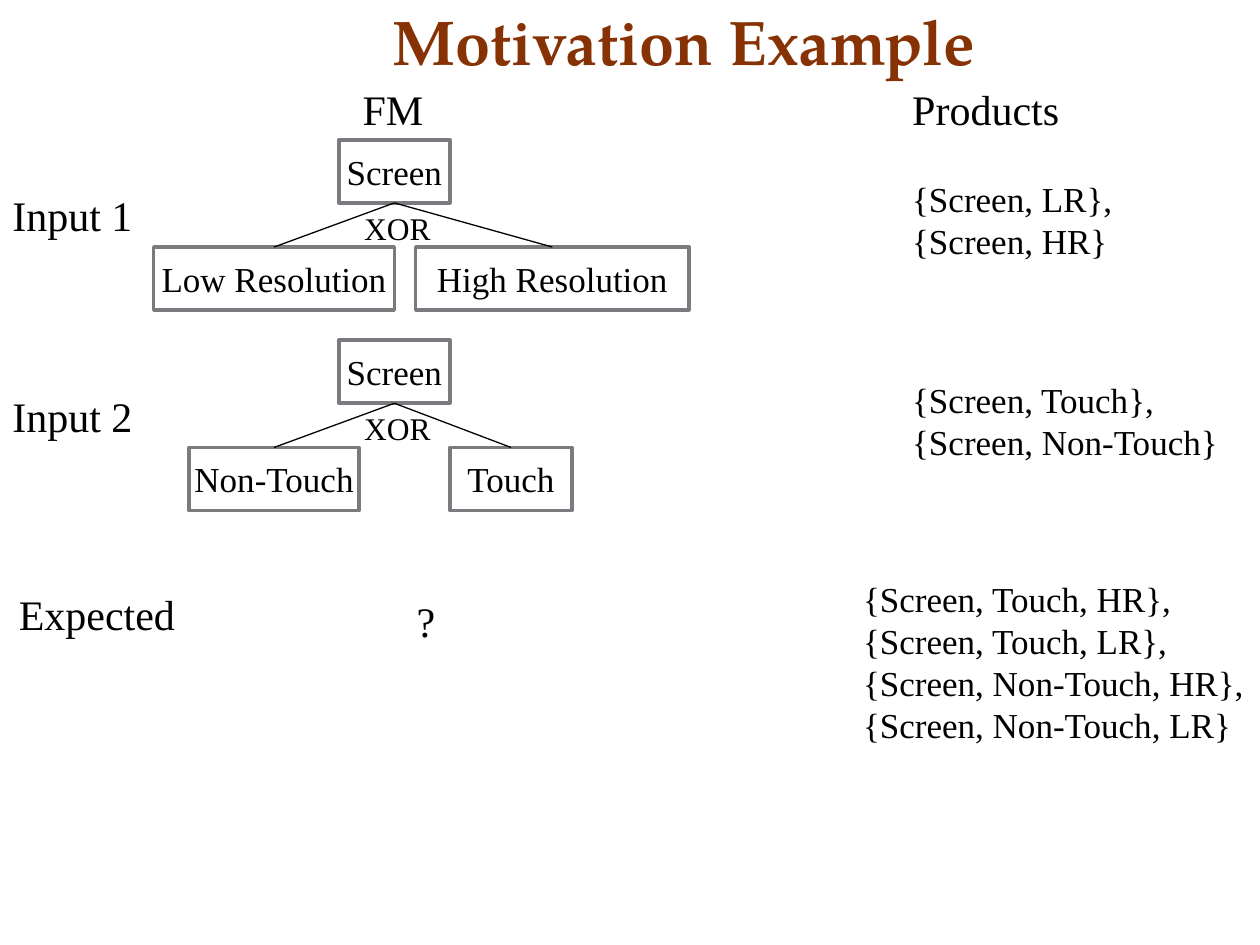
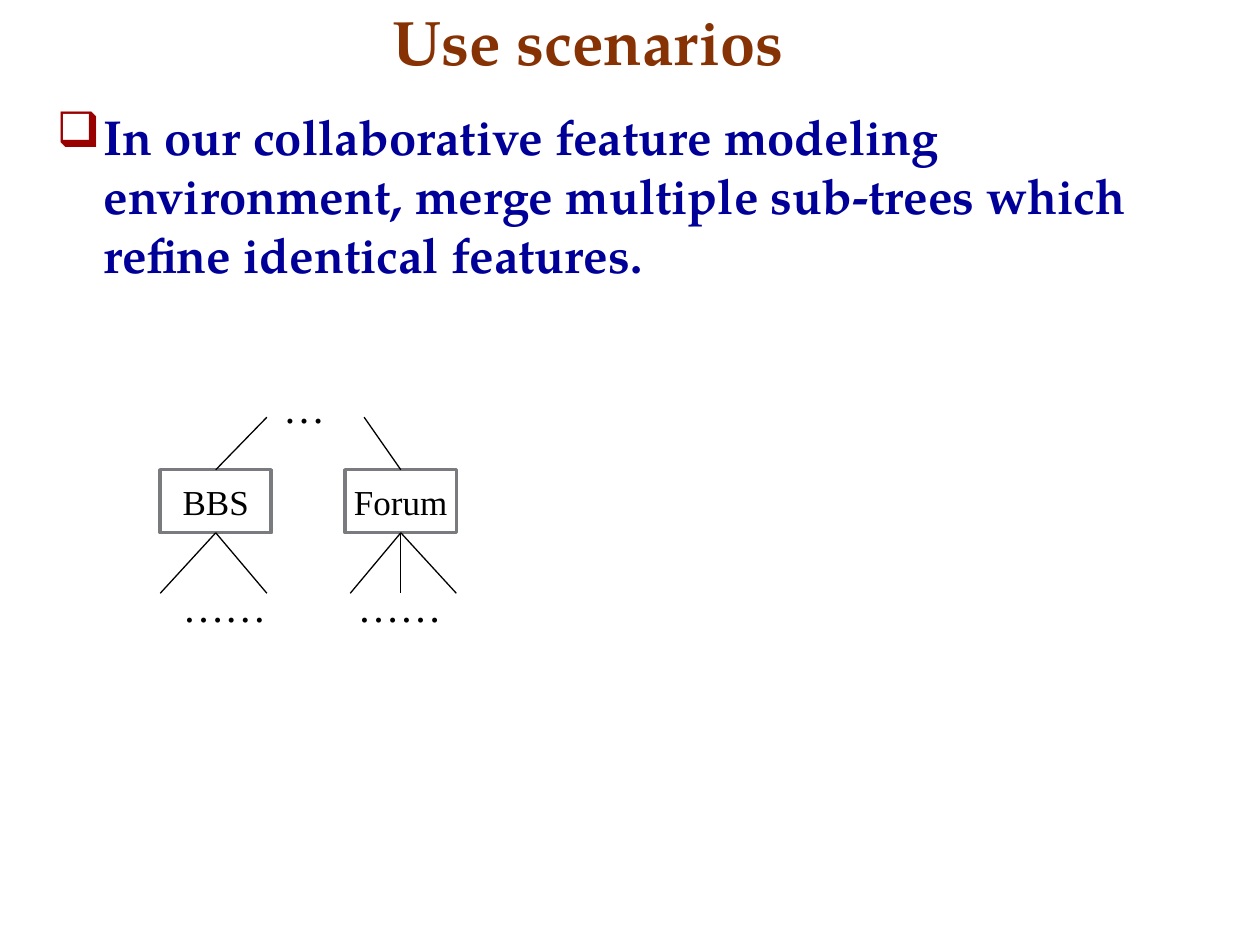
from lxml.etree import SubElement
from pptx import Presentation
from pptx.dml.color import RGBColor
from pptx.enum.shapes import MSO_CONNECTOR, MSO_SHAPE
from pptx.enum.text import MSO_ANCHOR, MSO_AUTO_SIZE, PP_ALIGN
from pptx.oxml.ns import qn
from pptx.util import Cm, Pt

SERIF, DISPLAY = "Times New Roman", "TeX Gyre Pagella"
BLACK, WHITE, GREY = "000000", "FFFFFF", "797B7E"
BROWN, NAVY, RED = "863204", "000099", "990000"

# All lengths are in centimetres.
BOX_H, LABEL_H = 1.27, 1.27
SCREEN_X, SCREEN_W = 6.83, 2.24
FIRST_Y, INPUT_PITCH, CHILD_DROP = 2.82, 4.04, 2.16
PRODUCTS_X = 18.14

# label, children (text, left, width), products, width of products
INPUTS = [
    ("Input 1",
     [("Low Resolution", 3.1, 4.85), ("High Resolution", 8.38, 5.51)],
     ["{Screen, LR},", "{Screen, HR}"], 4.75),
    ("Input 2",
     [("Non-Touch", 3.81, 3.43), ("Touch", 9.07, 2.46)],
     ["{Screen, Touch},", "{Screen, Non-Touch}"], 6.73),
]
EXPECTED = ["{Screen, Touch, HR},", "{Screen, Touch, LR},",
            "{Screen, Non-Touch, HR},", "{Screen, Non-Touch, LR}"]
# text, left, top, width
HEADINGS = [("FM", 7.06, 1.55, 1.75), ("Products", PRODUCTS_X, 1.55, 3.5),
            ("Expected", 0.13, 11.73, 3.68), ("?", 8.15, 11.89, 0.89)]

SCENARIO = ("In our collaborative feature modeling environment, merge "
            "multiple sub-trees which refine identical features.")
FEATURE_Y, FEATURE_W, PARENT_Y, LEAF_Y = 9.47, 2.24, 8.41, 11.96
# name, left, x of parent end, x of leaf ends
FEATURES = [("BBS", 3.23, 5.38, [3.23, 5.38]),
            ("Forum", 6.96, 7.34, [7.06, 8.08, 9.2])]
ELLIPSES = [("…", 5.46, 7.57, 1.37), ("……", 3.43, 11.58, 2.24),
            ("……", 6.96, 11.58, 2.24)]


def rgb(value):
    return RGBColor.from_string(value)


def style(tf, size, font=SERIF, color=BLACK, bold=False):
    for p in tf.paragraphs:
        for r in p.runs:
            r.font.size = Pt(size)
            r.font.name = font
            r.font.bold = bold
            r.font.color.rgb = rgb(color)


def add_titled_slide(prs, title):
    slide = prs.slides.add_slide(prs.slide_layouts[5])
    sp = slide.shapes.title
    sp.left, sp.top, sp.width, sp.height = map(Cm, (7.65, -0.08, 17.37, 1.78))
    tf = sp.text_frame
    tf.text = title
    tf.vertical_anchor = MSO_ANCHOR.BOTTOM
    tf.auto_size = MSO_AUTO_SIZE.SHAPE_TO_FIT_TEXT
    tf.paragraphs[0].alignment = PP_ALIGN.LEFT
    style(tf, 36, DISPLAY, BROWN, True)
    return slide


def add_text(slide, text, x, y, w, h=LABEL_H, size=24):
    tf = slide.shapes.add_textbox(Cm(x), Cm(y), Cm(w), Cm(h)).text_frame
    tf.text = text
    tf.word_wrap = False
    tf.auto_size = MSO_AUTO_SIZE.SHAPE_TO_FIT_TEXT
    style(tf, size)


def add_feature(slide, name, x, y, w):
    sp = slide.shapes.add_shape(MSO_SHAPE.RECTANGLE, Cm(x), Cm(y), Cm(w), Cm(BOX_H))
    sp.shadow.inherit = False
    sp.fill.solid()
    sp.fill.fore_color.rgb = rgb(WHITE)
    sp.line.color.rgb = rgb(GREY)
    sp.line.width = Pt(2)
    tf = sp.text_frame
    tf.text = name
    tf.word_wrap = False
    tf.vertical_anchor = MSO_ANCHOR.MIDDLE
    tf.paragraphs[0].alignment = PP_ALIGN.CENTER
    style(tf, 20)


def add_line(slide, x1, y1, x2, y2):
    line = slide.shapes.add_connector(MSO_CONNECTOR.STRAIGHT, Cm(x1), Cm(y1), Cm(x2), Cm(y2))
    line.line.color.rgb = rgb(BLACK)
    line.line.width = Pt(0.75)
    SubElement(line._element.spPr, qn("a:effectLst"))


def add_bullet_text(slide, text):
    tf = slide.shapes.add_textbox(Cm(0.89), Cm(2.03), Cm(23.44), Cm(14.48)).text_frame
    tf.word_wrap = True
    tf.text = text
    pPr = tf.paragraphs[0]._p.get_or_add_pPr()
    pPr.set("marL", str(Cm(0.95)))
    pPr.set("indent", str(-Cm(0.95)))
    SubElement(SubElement(pPr, qn("a:buClr")), qn("a:srgbClr"), val=RED)
    SubElement(pPr, qn("a:buChar"), char="❑")
    style(tf, 28, DISPLAY, NAVY, True)


def build_motivation(prs):
    slide = add_titled_slide(prs, "Motivation Example")
    for heading in HEADINGS:
        add_text(slide, *heading)
    for i, (label, children, products, products_w) in enumerate(INPUTS):
        y = FIRST_Y + i * INPUT_PITCH
        add_feature(slide, "Screen", SCREEN_X, y, SCREEN_W)
        for name, x, w in children:
            add_feature(slide, name, x, y + CHILD_DROP, w)
            add_line(slide, SCREEN_X + SCREEN_W / 2, y + BOX_H, x + w / 2, y + CHILD_DROP)
        add_text(slide, "XOR", 7.09, y + BOX_H, 1.85, 1.02, 18)
        add_text(slide, "\n".join(products), PRODUCTS_X, y + 0.64, products_w, 1.96, 20)
        add_text(slide, label, 0, y + 0.88, 2.95)
    add_text(slide, "\n".join(EXPECTED), 17.15, 11.51, 8.25, 3.68, 20)


def build_scenarios(prs):
    slide = add_titled_slide(prs, "Use scenarios")
    add_bullet_text(slide, SCENARIO)
    for name, x, parent_x, leaves in FEATURES:
        center = x + FEATURE_W / 2
        add_feature(slide, name, x, FEATURE_Y, FEATURE_W)
        add_line(slide, center, FEATURE_Y, parent_x, PARENT_Y)
        for leaf_x in leaves:
            add_line(slide, center, FEATURE_Y + BOX_H, leaf_x, LEAF_Y)
    for ellipsis in ELLIPSES:
        add_text(slide, *ellipsis)


def main():
    prs = Presentation()
    prs.slide_width, prs.slide_height = Cm(25.4), Cm(19.05)
    build_motivation(prs)
    build_scenarios(prs)
    prs.save("out.pptx")


if __name__ == "__main__":
    main()
